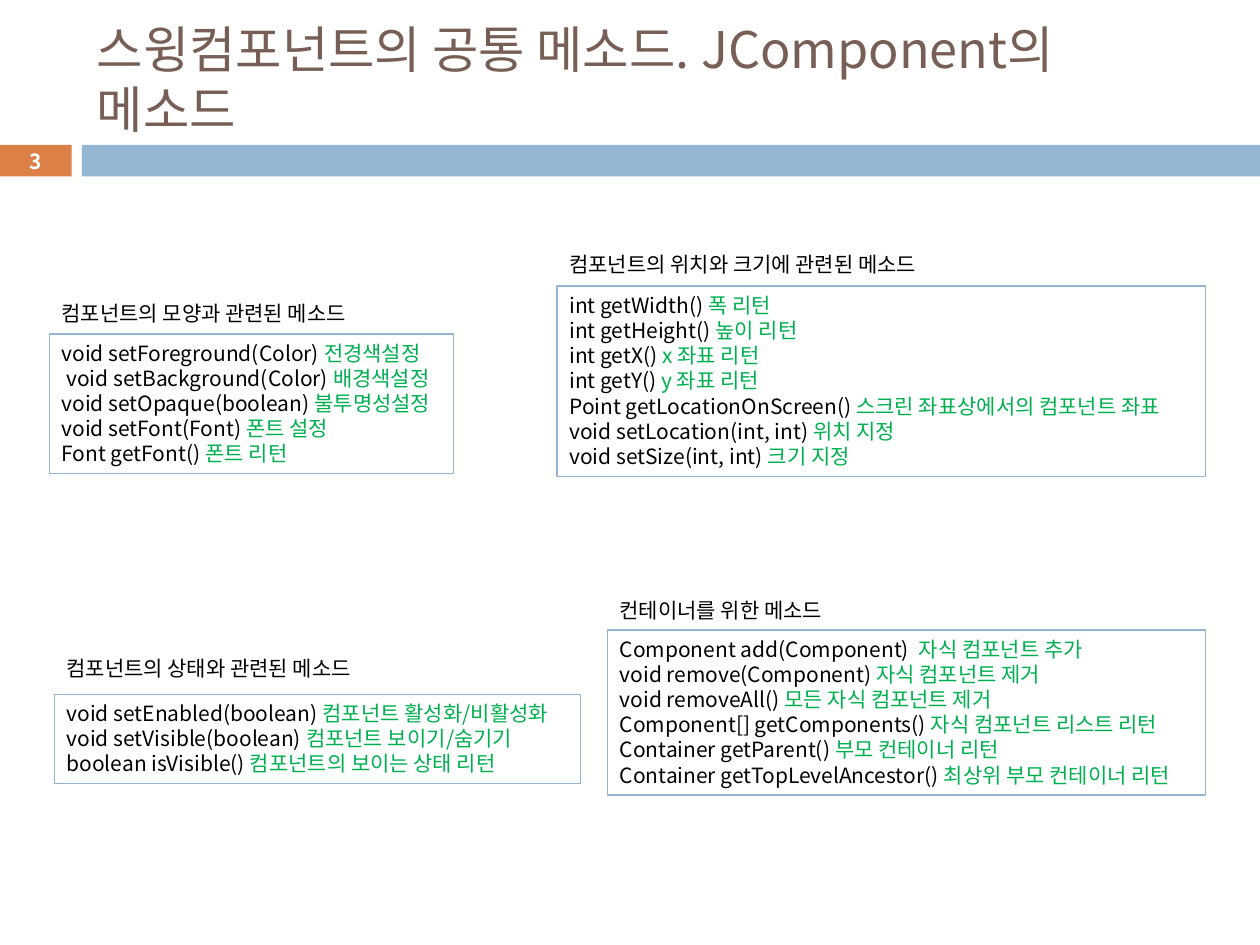
from lxml import etree
from pptx import Presentation
from pptx.dml.color import RGBColor
from pptx.enum.shapes import MSO_SHAPE
from pptx.enum.text import MSO_ANCHOR, PP_ALIGN
from pptx.oxml.ns import qn
from pptx.util import Inches, Pt

RECT = MSO_SHAPE.RECTANGLE
TOP, MIDDLE = MSO_ANCHOR.TOP, MSO_ANCHOR.MIDDLE
LEFT, CENTER = PP_ALIGN.LEFT, PP_ALIGN.CENTER
FONT = "Noto Sans CJK KR"
BLACK, WHITE, GREEN = "000000", "FFFFFF", "00B050"
BLUE, ORANGE, BROWN = "94B6D2", "DD8047", "775F55"
LINE_FACTOR = 1.2

# caption, caption top, box (left, top, width, height), (method, description) rows
GROUPS = [
    ("컴포넌트의 모양과 관련된 메소드", 2.34, (0.39, 2.65, 3.21, 1.11), [
        ("void setForeground(Color) ", "전경색설정"),
        (" void setBackground(Color) ", "배경색설정"),
        ("void setOpaque(boolean) ", "불투명성설정"),
        ("void setFont(Font) ", "폰트 설정"),
        ("Font getFont() ", "폰트 리턴"),
    ]),
    ("컴포넌트의 상태와 관련된 메소드", 5.15, (0.43, 5.51, 4.18, 0.71), [
        ("void setEnabled(boolean) ", "컴포넌트 활성화/비활성화"),
        ("void setVisible(boolean) ", "컴포넌트 보이기/숨기기"),
        ("boolean isVisible() ", "컴포넌트의 보이는 상태 리턴"),
    ]),
    ("컴포넌트의 위치와 크기에 관련된 메소드", 1.95, (4.42, 2.27, 5.15, 1.51), [
        ("int getWidth() ", "폭 리턴"),
        ("int getHeight() ", "높이 리턴"),
        ("int getX() ", "x 좌표 리턴"),
        ("int getY() ", "y 좌표 리턴"),
        ("Point getLocationOnScreen() ", "스크린 좌표상에서의 컴포넌트 좌표"),
        ("void setLocation(int, int) ", "위치 지정"),
        ("void setSize(int, int) ", "크기 지정"),
    ]),
    ("컨테이너를 위한 메소드", 4.69, (4.82, 5, 4.75, 1.31), [
        ("Component add(Component)  ", "자식 컴포넌트 추가"),
        ("void remove(Component) ", "자식 컴포넌트 제거"),
        ("void removeAll() ", "모든 자식 컴포넌트 제거"),
        ("Component[] getComponents() ", "자식 컴포넌트 리스트 리턴"),
        ("Container getParent() ", "부모 컨테이너 리턴"),
        ("Container getTopLevelAncestor() ", "최상위 부모 컨테이너 리턴"),
    ]),
]


def rgb(color):
    return RGBColor.from_string(color)


def add_rect(s, box, fill=None, line=None):
    sp = s.shapes.add_shape(RECT, *map(Inches, box))
    sp.shadow.inherit = False
    if fill:
        sp.fill.solid()
        sp.fill.fore_color.rgb = rgb(fill)
    else:
        sp.fill.background()
    if line:
        sp.line.color.rgb = rgb(line)
        sp.line.width = Pt(0.75)
    else:
        sp.line.fill.background()
    return sp


def add_run(p, text, size, color, bold=False):
    r = p.add_run()
    r.text = text
    r.font.size = Pt(size)
    r.font.name = FONT
    r.font.bold = bold
    r.font.color.rgb = rgb(color)
    etree.SubElement(r.font._element, qn("a:ea"), typeface=FONT)


def write(sp, rows, size=12, anchor=TOP, align=LEFT, bold=False):
    """Fill a shape with one paragraph per row of (text, colour) runs."""
    tf = sp.text_frame
    tf.word_wrap = True
    tf.vertical_anchor = anchor
    for i, row in enumerate(rows):
        p = tf.add_paragraph() if i else tf.paragraphs[0]
        p.alignment = align
        p.line_spacing = Pt(size * LINE_FACTOR)
        for text, color in row:
            add_run(p, text, size, color, bold)


def add_text(s, box, text, color, **style):
    write(s.shapes.add_textbox(*map(Inches, box)), [[(text, color)]], **style)


def add_header(s, box):
    """Title above a band that is split into a page number and a bar."""
    left, top, width, height = box
    number_w, gap, band_h = 0.57, 0.08, 0.25
    band_top = top + height - band_h
    bar_left = left + number_w + gap
    number_box = (left, band_top, number_w, band_h)
    add_rect(s, number_box, ORANGE)
    add_rect(s, (bar_left, band_top, width - number_w - gap, band_h), BLUE)
    add_text(s, (bar_left + 0.02, top + 0.25, 8.92, 0.74),
             "스윙컴포넌트의 공통 메소드. JComponent의 메소드", BROWN,
             size=28.8, anchor=MIDDLE)
    add_text(s, number_box, "3", WHITE, size=11.9, anchor=MIDDLE,
             align=CENTER, bold=True)


def add_method_group(s, caption, caption_top, box, methods):
    left, _, width, _ = box
    write(add_rect(s, box, line=BLUE),
          [[(method, BLACK), (note, GREEN)] for method, note in methods])
    add_text(s, (left, caption_top, min(width, 3.3), 0.3), caption, BLACK)


def main():
    prs = Presentation()
    prs.slide_width, prs.slide_height = Inches(10), Inches(7.5)
    s = prs.slides.add_slide(prs.slide_layouts[6])
    add_header(s, (0, 0, 10, 1.4))
    for group in GROUPS:
        add_method_group(s, *group)
    prs.save("out.pptx")


if __name__ == "__main__":
    main()
